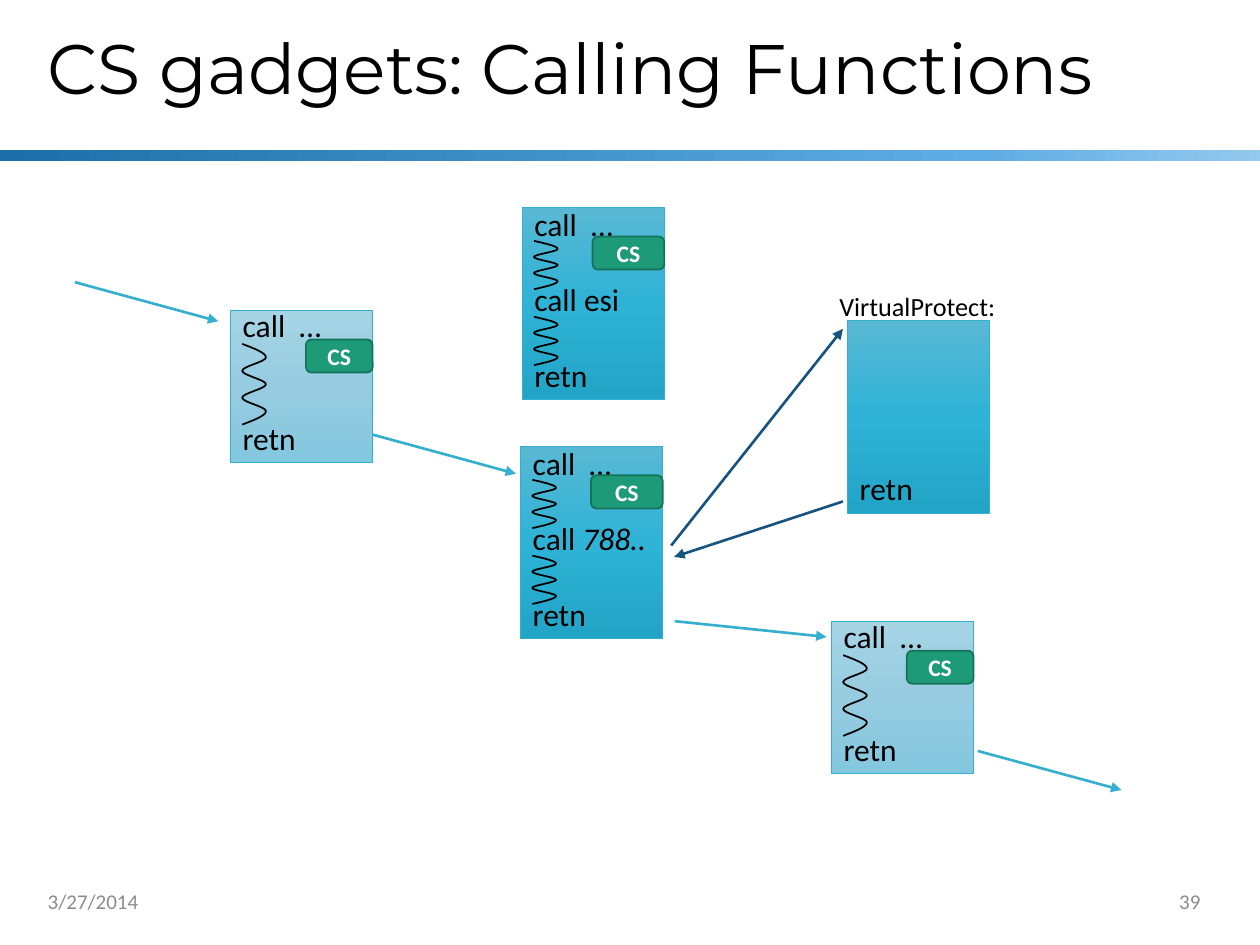
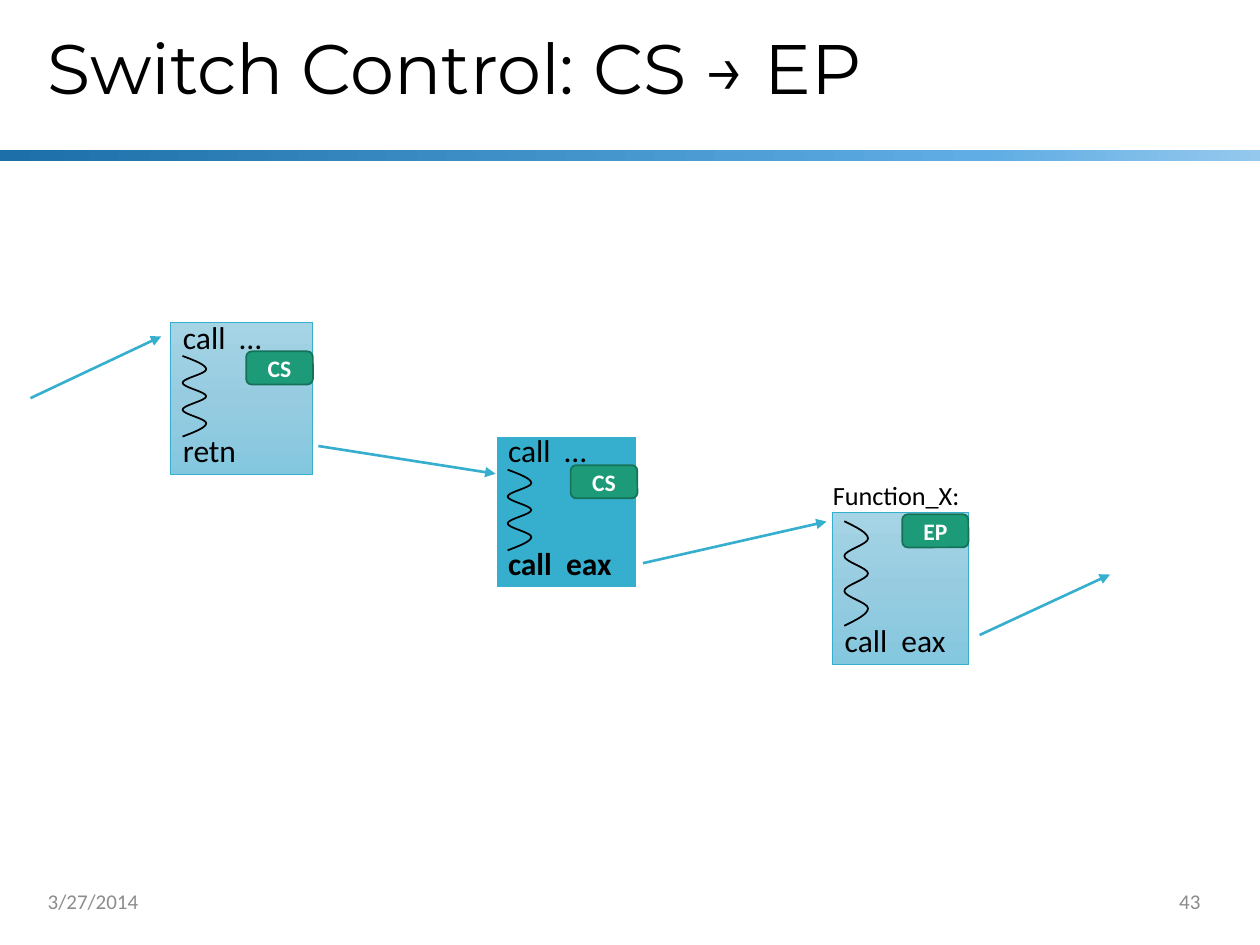
from copy import deepcopy
from dataclasses import dataclass

from lxml.etree import SubElement
from pptx import Presentation
from pptx.dml.color import RGBColor
from pptx.enum.shapes import MSO_CONNECTOR, MSO_SHAPE
from pptx.enum.text import MSO_ANCHOR, MSO_AUTO_SIZE, PP_ALIGN
from pptx.oxml.ns import qn
from pptx.util import Inches, Pt

# The slide is a grid of 100 columns by 75 rows of square cells
COLUMNS, ROWS = 100, 75
CELL = Inches(10) / COLUMNS


@dataclass(frozen=True)
class Theme:
    title_font: str = "Montserrat"
    body_font: str = "Calibri"
    title_size: float = 40
    code_size: float = 18
    label_size: float = 15
    badge_size: float = 13.5
    footer_size: float = 12
    skipped_line: float = 21.5
    ink: str = "000000"
    paper: str = "FFFFFF"
    footer: str = "8C8C8C"
    accent: str = "36AFCE"
    call_arrow: str = "16537F"
    badge: str = "1D9A78"
    badge_edge: str = "157259"
    band: tuple = ((0, "1D6FA9"), (0.78, "5FADE4"), (1, "94C8ED"))
    pale: tuple = ((0, "A5D4E5"), (0.5, "97CCE0"), (1, "83C7DF"))
    strong: tuple = ((0, "59B8D4"), (0.5, "2EB3D6"), (1, "21A4C6"))


THEME = Theme()


@dataclass(frozen=True)
class Box:
    left: float
    top: float
    width: float
    height: float

    def inner(self, left, top, width, height):
        return Box(self.left + left, self.top + top, width, height)

    def emu(self):
        return [cells(n) for n in (self.left, self.top, self.width, self.height)]


@dataclass(frozen=True)
class Line:
    text: str
    skip: int = 0
    italic_end: str = ""
    bold: bool = False


@dataclass(frozen=True)
class Layout:
    """Where the waves and the badge sit inside a code block."""
    waves: tuple
    badge_top: float
    badge_width: float


SHORT = Layout(((2.68, 6.4),), 2.32, 5.3)
TALL = Layout(((2.68, 3.84), (8.7, 3.84)), 2.33, 5.7)
ENTRY = Layout(((0.7, 8.3),), 0.15, 5.25)
BARE = Layout((), 0, 0)


def cells(count):
    return round(count * CELL)


def color(code):
    return RGBColor.from_string(code)


def style(para, size, code, font=THEME.body_font, bold=False):
    for span in para.runs:
        span.font.name, span.font.size = font, Pt(size)
        span.font.bold, span.font.color.rgb = bold, color(code)


def paint(shape, fill, edge=None, edge_width=0.5, angle=270):
    """Fill with one colour, or with gradient stops, and draw the outline."""
    shape.shadow.inherit = False
    if isinstance(fill, str):
        shape.fill.solid()
        shape.fill.fore_color.rgb = color(fill)
    else:
        shape.fill.gradient()
        shape.fill.gradient_angle = angle
        stops = shape.element.find(".//" + qn("a:gsLst"))
        stops.append(deepcopy(stops[0]))
        for stop, (position, code) in zip(shape.fill.gradient_stops, fill):
            stop.position, stop.color.rgb = position, color(code)
    if edge:
        shape.line.color.rgb = color(edge)
        shape.line.width = Pt(edge_width)
    else:
        shape.line.fill.background()


def add_text(page, box, text, size, code, align=PP_ALIGN.LEFT,
             anchor=MSO_ANCHOR.TOP, wrap=True):
    frame = page.shapes.add_textbox(*box.emu()).text_frame
    frame.word_wrap, frame.vertical_anchor = wrap, anchor
    frame.text = text
    frame.paragraphs[0].alignment = align
    style(frame.paragraphs[0], size, code)


# Shared frame: band, title and footer
def add_band(page):
    band = page.shapes.add_shape(MSO_SHAPE.RECTANGLE,
                                 *Box(0, 11.93, COLUMNS, 0.82).emu())
    paint(band, THEME.band, angle=0)
    page.slide_layout.shapes.element.append(band.element)


def add_page(deck, title, number):
    page = deck.slides.add_slide(deck.slide_layouts[5])
    heading = page.shapes.title
    heading.left, heading.top, heading.width, heading.height = Box(
        2.8, 0.04, 93.5, 11.34).emu()
    frame = heading.text_frame
    frame.text = title
    frame.auto_size = MSO_AUTO_SIZE.NONE
    frame.vertical_anchor = MSO_ANCHOR.MIDDLE
    para = frame.paragraphs[0]
    para.alignment, para.line_spacing = PP_ALIGN.LEFT, 0.9
    style(para, THEME.title_size, THEME.ink, THEME.title_font)
    for left, text, align in ((2.8, "3/27/2014", PP_ALIGN.LEFT),
                              (73.75, number, PP_ALIGN.RIGHT)):
        add_text(page, Box(left, 69.5, 22.5, 4), text, THEME.footer_size,
                 THEME.footer, align, MSO_ANCHOR.MIDDLE)
    return page


# Parts of a code block
def add_wave(page, box, swings=6):
    """Curve that swings between the left and right side on its way down."""
    left, top, width, height = box.emu()
    step = height / swings
    ends = [(left + width * (1 - swing % 2), round(top + step * (swing + 1)))
            for swing in range(swings)]
    builder = page.shapes.build_freeform(left, top, scale=1.0)
    builder.add_line_segments(ends, close=False)
    wave = builder.convert_to_shape()
    # Bend each segment: the first and last meet the left side at a slant
    for swing, segment in enumerate(list(wave.element.iter(qn("a:lnTo")))):
        bends = [swing % 2, 1 - swing % 2]
        if swing == 0:
            bends[0] = 0.5
        elif swing == swings - 1:
            bends[1] = 0.5
        segment.tag = qn("a:cubicBezTo")
        end = segment[0]
        for third, across in enumerate(bends, 1):
            SubElement(segment, qn("a:pt"), x=str(round(across * width)),
                       y=str(round(step * (swing + third / 3))))
        segment.append(end)
    wave.shadow.inherit = False
    wave.fill.background()
    wave.line.color.rgb, wave.line.width = color(THEME.ink), Pt(1)


def add_badge(page, box, text):
    badge = page.shapes.add_shape(MSO_SHAPE.ROUNDED_RECTANGLE, *box.emu())
    paint(badge, THEME.badge, THEME.badge_edge, 1)
    frame = badge.text_frame
    frame.text = text
    frame.vertical_anchor = MSO_ANCHOR.MIDDLE
    frame.paragraphs[0].alignment = PP_ALIGN.CENTER
    style(frame.paragraphs[0], THEME.badge_size, THEME.paper, bold=True)


def add_code_block(page, box, lines, layout, fill=THEME.pale,
                   edge=(THEME.accent, 0.5), badge="CS"):
    block = page.shapes.add_shape(MSO_SHAPE.RECTANGLE, *box.emu())
    paint(block, fill, *edge)
    frame = block.text_frame
    frame.word_wrap, frame.vertical_anchor = True, MSO_ANCHOR.BOTTOM
    for index, line in enumerate(lines):
        para = frame.add_paragraph() if index else frame.paragraphs[0]
        para.text = line.text
        para.alignment = PP_ALIGN.LEFT
        if line.skip:
            para.space_before = Pt(line.skip * THEME.skipped_line)
        if line.italic_end:
            span = para.add_run()
            span.text, span.font.italic = line.italic_end, True
        style(para, THEME.code_size, THEME.ink, bold=line.bold)
    for top, height in layout.waves:
        add_wave(page, box.inner(0.95, top, 1.88, height))
    if layout.badge_width:
        add_badge(page, box.inner(box.width - layout.badge_width, layout.badge_top,
                                  layout.badge_width, 2.63), badge)


def add_label(page, block, left, rise, width, text):
    add_text(page, block.inner(left, -rise, width, 3.5), text,
             THEME.label_size, THEME.ink, wrap=False)


def add_arrow(page, start, end, code=THEME.accent):
    arrow = page.shapes.add_connector(
        MSO_CONNECTOR.STRAIGHT, *[cells(n) for n in (*start, *end)])
    arrow.line.color.rgb, arrow.line.width = color(code), Pt(1.5)
    properties = arrow.element.spPr
    SubElement(properties.find(qn("a:ln")), qn("a:tailEnd"), type="triangle")
    SubElement(properties, qn("a:effectLst"))


CALL = Line("call  …")
RETURN = Line("retn", skip=1)
RETURN_FAR = Line("retn", skip=2)


def build_calling_functions(deck):
    page = add_page(deck, "CS gadgets: Calling Functions", "39")
    # Gadgets at the entry and the exit of the chain
    for left, top in ((18.28, 24.62), (65.97, 49.32)):
        add_code_block(page, Box(left, top, 11.3, 12.1), (CALL, RETURN_FAR), SHORT)
    # Gadgets that hold a call, and the function called
    for left, top, middle in ((41.43, 16.44, Line("call esi", skip=1)),
                              (41.3, 35.4, Line("call ", 1, "788.."))):
        add_code_block(page, Box(left, top, 11.3, 15.28), (CALL, middle, RETURN),
                       TALL, THEME.strong)
    function = Box(67.25, 25.45, 11.3, 15.28)
    add_label(page, function, -1.62, 2.88, 14.5, "VirtualProtect:")
    add_code_block(page, function, (Line("retn"),), BARE, THEME.strong)
    # Control flow
    for start, end in (((5.95, 22.4), (17.33, 25.5)), ((29.6, 34.5), (40.95, 37.6)),
                       ((53.55, 49.3), (65.6, 50.55)), ((77.6, 59.6), (89, 62.7))):
        add_arrow(page, start, end)
    for start, end in (((53.27, 43.3), (66.9, 26.1)), ((66.9, 39.8), (53.5, 44.2))):
        add_arrow(page, start, end, THEME.call_arrow)
    return page


def build_switch_control(deck):
    page = add_page(deck, "Switch Control: CS → EP", "43")
    # Plain gadget, switching gadget and entry point
    add_code_block(page, Box(13.54, 25.57, 11.3, 12.1), (CALL, RETURN_FAR), SHORT)
    add_code_block(page, Box(39.34, 34.6, 11.25, 12.1),
                   (CALL, Line("call  eax", skip=2, bold=True)), SHORT,
                   THEME.accent, (THEME.paper, 1.5))
    entry = Box(66.06, 40.67, 10.8, 12.1)
    add_code_block(page, entry, (Line("call  eax"),), ENTRY, badge="EP")
    add_label(page, entry, -0.95, 3.12, 12.2, "Function_X:")
    # Control flow
    for start, end in (((2.42, 31.6), (12.8, 26.7)), ((25.27, 35.4), (39.33, 37.6)),
                       ((51.03, 44.7), (65.6, 41.4)), ((77.75, 50.4), (88.1, 45.6))):
        add_arrow(page, start, end)
    return page


def main():
    deck = Presentation()
    deck.slide_width, deck.slide_height = cells(COLUMNS), cells(ROWS)
    add_band(build_calling_functions(deck))
    build_switch_control(deck)
    deck.save("out.pptx")


if __name__ == "__main__":
    main()
